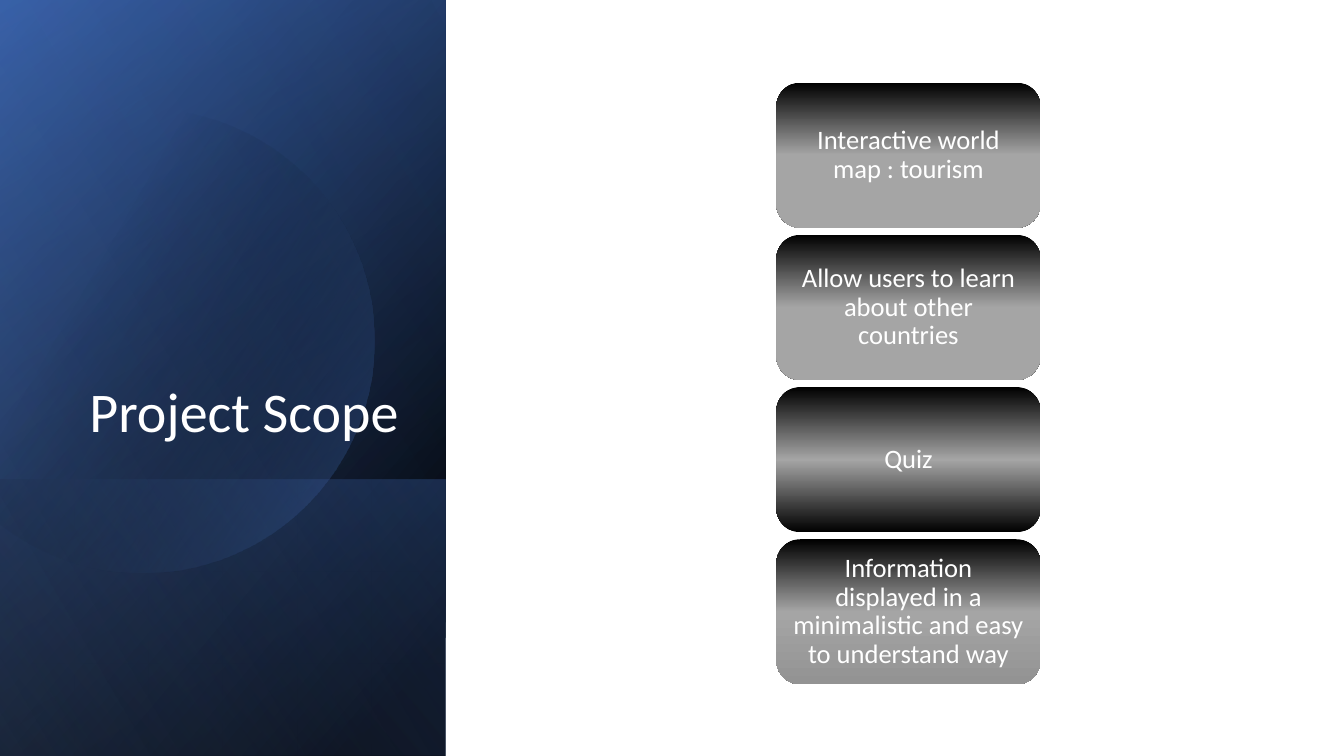
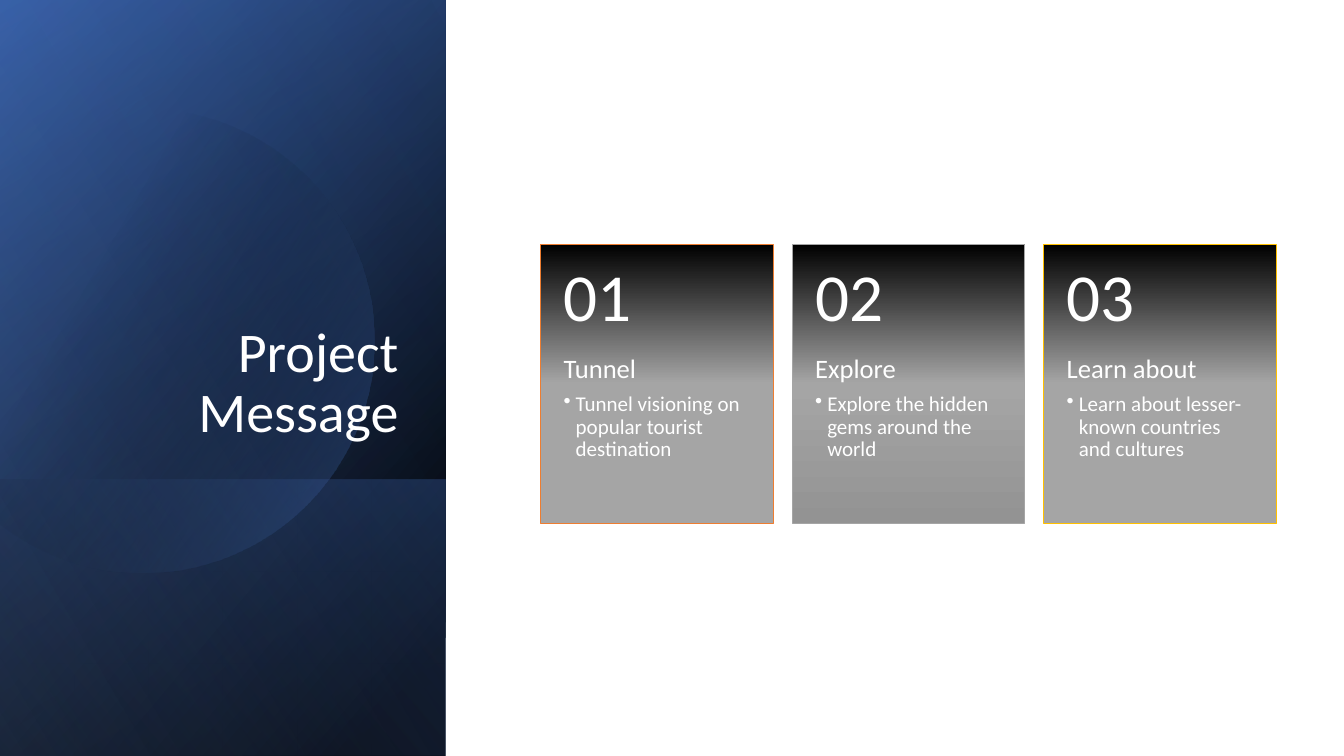
from dataclasses import dataclass
from math import acos, cos, sin
from typing import NamedTuple

from lxml.etree import SubElement
from pptx import Presentation
from pptx.dml.color import RGBColor
from pptx.enum.shapes import MSO_SHAPE as Preset
from pptx.enum.text import MSO_ANCHOR as Anchor, PP_ALIGN as Align
from pptx.oxml.ns import qn
from pptx.util import Inches, Pt

WIDTH, HEIGHT = 13.33, 7.5
PANEL_WIDTH = 4.42
FONT = "Calibri"
WHITE, BLACK, GRAY, DARK_GRAY = "FFFFFF", "000000", "A5A5A5", "939393"
NAVY, BLUE, PALE_BLUE = "2F5597", "4472C4", "8FAADC"
ORANGE, GOLD = "ED7D31", "FFC000"


class Box(NamedTuple):
    left: float
    top: float
    width: float
    height: float


class Insets(NamedTuple):
    left: float = 0.1
    top: float = 0.05
    right: float = 0.1
    bottom: float = 0.05


class Stop(NamedTuple):
    position: int
    color: str
    opacity: int = 100


@dataclass(frozen=True)
class Gradient:
    angle: int
    stops: tuple[Stop, ...]


@dataclass(frozen=True)
class Layer:
    box: Box
    gradient: Gradient


@dataclass(frozen=True)
class Line:
    text: str
    size: int
    align: Align = Align.LEFT
    space_after: float = 0
    bullet: bool = False


@dataclass(frozen=True)
class ScopeItem:
    text: str
    end_color: str = GRAY


@dataclass(frozen=True)
class MessageCard:
    heading: str
    detail: str
    border: str
    end: Stop = Stop(99, GRAY)


PANEL = Box(0, 0, PANEL_WIDTH, HEIGHT)
LOWER_BAND = Box(0, 4.76, PANEL_WIDTH, 2.74)
TITLE = Box(0.64, 1.84, 3.41, 2.62)

BACK_LAYERS = (
    Layer(PANEL, Gradient(50, (Stop(8, BLACK), Stop(100, NAVY)))),
    Layer(PANEL, Gradient(30, (Stop(0, BLACK, 0), Stop(99, BLUE, 46)))),
    Layer(LOWER_BAND, Gradient(130, (Stop(2, BLUE, 29), Stop(100, BLACK, 30)))),
)
CIRCLE_GRADIENT = Gradient(30, (Stop(29, BLACK, 0), Stop(100, BLUE, 43)))
FRONT_LAYER = Layer(PANEL, Gradient(120, (Stop(0, BLACK, 0), Stop(99, PALE_BLUE, 11))))

SCOPE_COLUMN = Box(7.7, 0.82, 2.62, 5.97)
SCOPE_HEIGHT = 1.44
SCOPE_ITEMS = (
    ScopeItem("Interactive world map : tourism"),
    ScopeItem("Allow users to learn about other countries"),
    ScopeItem("Quiz", BLACK),
    ScopeItem("Information displayed in a minimalistic and easy to understand way", DARK_GRAY),
)

MESSAGE_ROW = Box(5.36, 2.42, 7.3, 2.77)
MESSAGE_WIDTH = 2.31
NUMBER_HEIGHT = 0.4 * MESSAGE_ROW.height
MESSAGE_CARDS = (
    MessageCard("Tunnel", "Tunnel visioning on popular tourist destination", ORANGE),
    MessageCard("Explore", "Explore the hidden gems around the world", GRAY, Stop(100, DARK_GRAY)),
    MessageCard("Learn about", "Learn about lesser-known countries and cultures", GOLD),
)


def rgb(color: str) -> RGBColor:
    return RGBColor.from_string(color)


def set_values(target, values: dict) -> None:
    for name, value in values.items():
        setattr(target, name, value)


def spread(start: float, total: float, size: float, count: int) -> list[float]:
    """Starts of equal items that fill a length with equal gaps."""
    pitch = (total - size) / (count - 1)
    return [start + index * pitch for index in range(count)]


def paint(shape, gradient: Gradient, border: str | None = None) -> None:
    shape.shadow.inherit = False
    shape.fill.background()
    properties = shape.element.spPr
    fill = properties.makeelement(qn("a:gradFill"), {"rotWithShape": "1"})
    stop_list = SubElement(fill, qn("a:gsLst"))
    for stop in gradient.stops:
        node = SubElement(stop_list, qn("a:gs"), pos=str(stop.position * 1000))
        color = SubElement(node, qn("a:srgbClr"), val=stop.color)
        if stop.opacity < 100:
            SubElement(color, qn("a:alpha"), val=str(stop.opacity * 1000))
    SubElement(fill, qn("a:lin"), ang=str(gradient.angle * 60000), scaled="0")
    properties.replace(properties.find(qn("a:noFill")), fill)
    if border:
        shape.line.color.rgb = rgb(border)
        shape.line.width = Pt(0.5)
    else:
        shape.line.fill.background()


def add_preset(slide, preset: Preset, box: Box, gradient: Gradient, border: str | None = None):
    shape = slide.shapes.add_shape(preset, *map(Inches, box))
    paint(shape, gradient, border)
    return shape


def add_layer(slide, layer: Layer) -> None:
    """Draw a mirrored rectangle, turned a quarter so that it covers its box."""
    left, top, width, height = layer.box
    shift = (width - height) / 2
    turned = Box(left + shift, top - shift, height, width)
    shape = add_preset(slide, Preset.RECTANGLE, turned, layer.gradient)
    shape.rotation = 90
    shape.element.spPr.xfrm.set("flipH", "1")


def add_clipped_circle(slide) -> None:
    """Draw the part of a circle that lies right of the slide's left edge."""
    center_x, center_y, radius, steps = 1.41, 3.38, 2.3, 120
    limit = acos(-center_x / radius)
    angles = [limit * (2 * step / steps - 1) for step in range(steps + 1)]
    points = [
        (Inches(center_x + radius * cos(angle)), Inches(center_y + radius * sin(angle)))
        for angle in angles
    ]
    builder = slide.shapes.build_freeform(*points[0])
    builder.add_line_segments(points[1:], close=True)
    paint(builder.convert_to_shape(), CIRCLE_GRADIENT)


def write(shape, lines: list[Line], anchor: Anchor, insets: Insets = Insets()) -> None:
    frame = shape.text_frame
    margins = {f"margin_{side}": Inches(value) for side, value in insets._asdict().items()}
    set_values(frame, {"word_wrap": True, "vertical_anchor": anchor, **margins})
    for index, line in enumerate(lines):
        paragraph = frame.add_paragraph() if index else frame.paragraphs[0]
        paragraph.text = line.text
        if line.bullet:
            properties = paragraph._p.get_or_add_pPr()
            properties.set("marL", str(Inches(0.12)))
            properties.set("indent", str(-Inches(0.12)))
            SubElement(properties, qn("a:buChar"), char="•")
        set_values(paragraph, {
            "alignment": line.align,
            "line_spacing": 0.9,
            "space_after": Pt(line.space_after),
        })
        set_values(paragraph.font, {"name": FONT, "size": Pt(line.size)})
        paragraph.font.color.rgb = rgb(WHITE)


def add_text(slide, box: Box, line: Line, anchor: Anchor, insets: Insets = Insets()) -> None:
    write(slide.shapes.add_textbox(*map(Inches, box)), [line], anchor, insets)


def add_titled_slide(presentation, title: str):
    slide = presentation.slides.add_slide(presentation.slide_layouts[6])
    for layer in BACK_LAYERS:
        add_layer(slide, layer)
    add_clipped_circle(slide)
    add_layer(slide, FRONT_LAYER)
    add_text(slide, TITLE, Line(title, 40, Align.RIGHT), Anchor.BOTTOM)
    return slide


def build_scope(presentation) -> None:
    slide = add_titled_slide(presentation, "Project Scope")
    left, top, width, height = SCOPE_COLUMN
    tops = spread(top, height, SCOPE_HEIGHT, len(SCOPE_ITEMS))
    for item, item_top in zip(SCOPE_ITEMS, tops):
        gradient = Gradient(90, (Stop(0, BLACK), Stop(50, GRAY), Stop(100, item.end_color)))
        box = Box(left, item_top, width, SCOPE_HEIGHT)
        shape = add_preset(slide, Preset.ROUNDED_RECTANGLE, box, gradient)
        write(shape, [Line(item.text, 19, Align.CENTER)], Anchor.MIDDLE,
              Insets(0.08, 0.04, 0.08, 0.04))


def build_message(presentation) -> None:
    slide = add_titled_slide(presentation, "Project Message")
    left, top, width, height = MESSAGE_ROW
    lefts = spread(left, width, MESSAGE_WIDTH, len(MESSAGE_CARDS))
    for number, (card, card_left) in enumerate(zip(MESSAGE_CARDS, lefts), 1):
        box = Box(card_left, top, MESSAGE_WIDTH, height)
        gradient = Gradient(90, (Stop(0, BLACK), Stop(50, GRAY), card.end))
        shape = add_preset(slide, Preset.RECTANGLE, box, gradient, card.border)
        lines = [Line(card.heading, 19, space_after=6.5), Line(card.detail, 15, bullet=True)]
        write(shape, lines, Anchor.TOP, Insets(0.23, NUMBER_HEIGHT, 0.23, 0.36))
        add_text(slide, box._replace(height=NUMBER_HEIGHT), Line(f"{number:02}", 48),
                 Anchor.MIDDLE, Insets(0.23, 0.18, 0.23, 0.18))


def main() -> None:
    presentation = Presentation()
    set_values(presentation, {"slide_width": Inches(WIDTH), "slide_height": Inches(HEIGHT)})
    build_scope(presentation)
    build_message(presentation)
    presentation.save("out.pptx")


if __name__ == "__main__":
    main()
